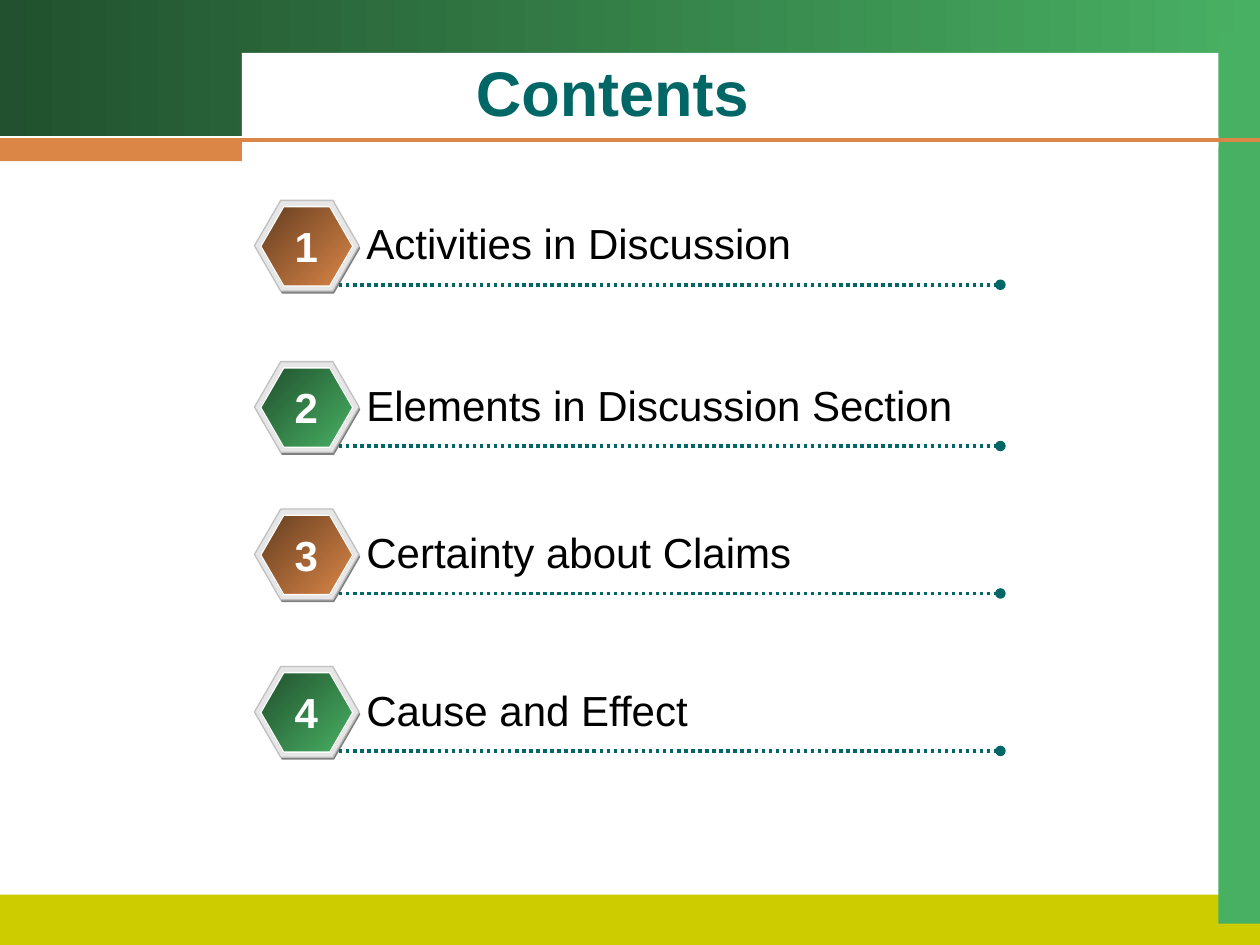
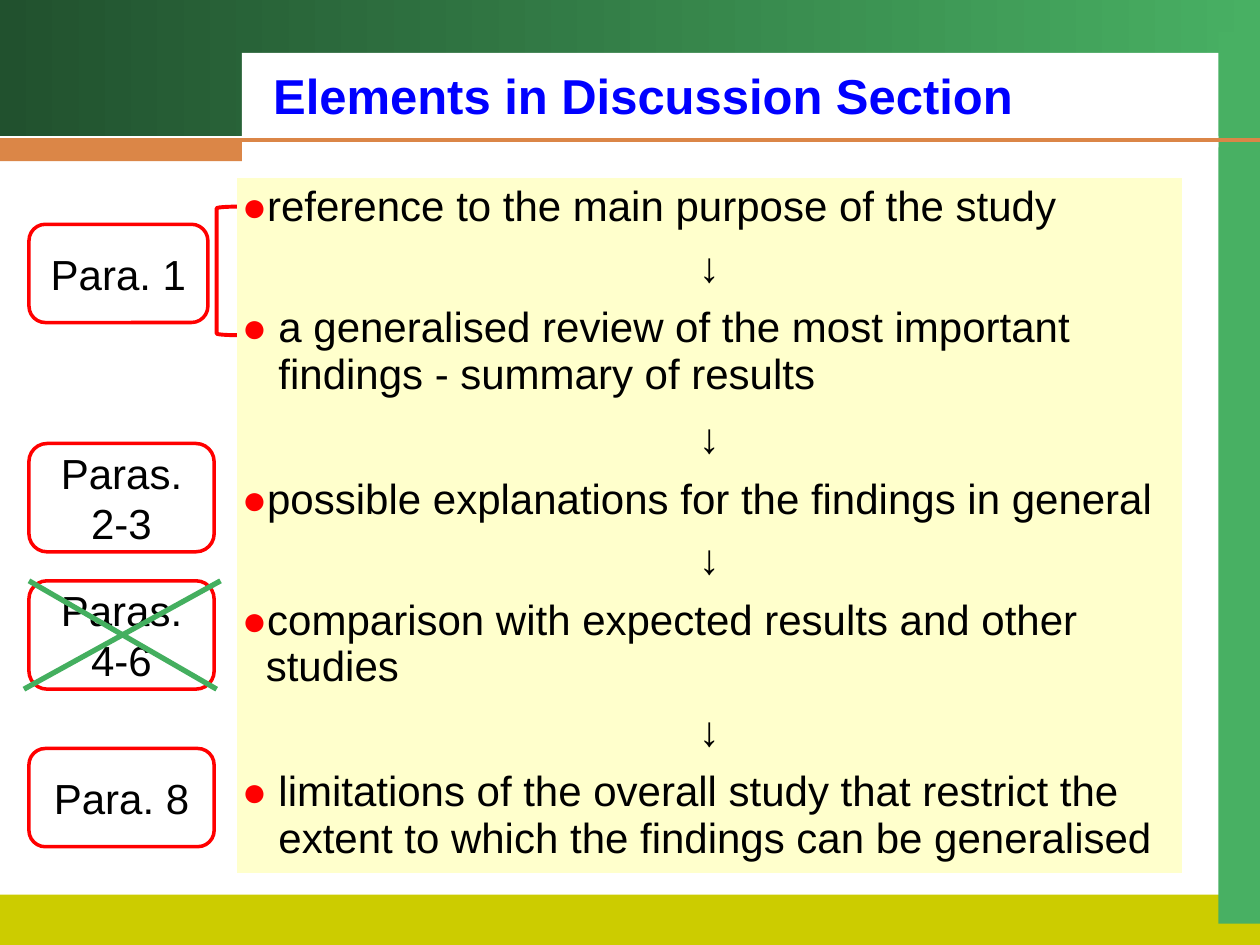
from dataclasses import dataclass

import pptx
import pptx.dml.color
import pptx.enum.dml
import pptx.enum.shapes
import pptx.enum.text
import pptx.oxml
import pptx.oxml.ns
import pptx.util

SHAPE = pptx.enum.shapes.MSO_SHAPE
ALIGN = pptx.enum.text.PP_ALIGN
ANCHOR = pptx.enum.text.MSO_ANCHOR

COLUMNS, ROWS = 10, 7.5  # grid of the slide
CELL = pptx.util.Inches(1)  # side of one grid square
PLAIN_TABLE_STYLE = "{2D5ABB26-0587-4C30-8999-92F81FD0307C}"


@dataclass(frozen=True)
class Theme:
    font: str = "Arial"
    title_size: float = 36
    heading_size: float = 28
    body_size: float = 24
    black: str = "000000"
    white: str = "FFFFFF"
    teal: str = "006666"
    blue: str = "0000FF"
    red: str = "FF0000"
    green: str = "48B063"
    cross_green: str = "44AF5F"
    orange: str = "DB8647"
    olive: str = "CCCC00"
    cream: str = "FFFFCC"
    rim: str = "E6E6E6"
    rim_line: str = "C0C0C0"
    rim_shade: str = "808080"
    green_fade: tuple = ("21512E", "48B063")
    orange_fade: tuple = ("653E21", "DB8647")


THEME = Theme()


@dataclass(frozen=True)
class Box:
    """A region in grid columns and rows."""
    left: float
    top: float
    width: float
    height: float

    def area(self, left, top, width, height):
        return Box(self.left + left, self.top + top, width, height)

    def lengths(self):
        return [grid(value) for value in (self.left, self.top, self.width, self.height)]


def grid(value):
    return round(value * CELL)


def rgb(color):
    return pptx.dml.color.RGBColor.from_string(color)


def xml_child(parent, tag, **attributes):
    child = parent.makeelement(pptx.oxml.ns.qn(tag), attributes)
    parent.append(child)
    return child


def add_figure(shapes, kind, box, fill=None, angle=0, line=None, width=0.75):
    """Add a preset shape; a pair of colours as fill gives a gradient."""
    shape = shapes.add_shape(kind, *box.lengths())
    shape.shadow.inherit = False
    if fill is None:
        shape.fill.background()
    elif isinstance(fill, tuple):
        shape.fill.gradient()
        shape.fill.gradient_angle = -angle % 360
        for stop, color in zip(shape.fill.gradient_stops, fill):
            stop.color.rgb = rgb(color)
    else:
        shape.fill.solid()
        shape.fill.fore_color.rgb = rgb(fill)
    if line:
        shape.line.color.rgb = rgb(line)
        shape.line.width = pptx.util.Pt(width)
    else:
        shape.line.fill.background()
    return shape


def add_line(shapes, start, end, color, width):
    connector = shapes.add_connector(
        pptx.enum.shapes.MSO_CONNECTOR.STRAIGHT, *map(grid, start + end))
    connector.line.color.rgb = rgb(color)
    connector.line.width = pptx.util.Pt(width)
    xml_child(connector._element.spPr, "a:effectLst")
    return connector


def write(text_frame, text, size=THEME.body_size, color=THEME.black,
          bold=False, align=ALIGN.LEFT):
    paragraph = text_frame.paragraphs[0]
    paragraph.alignment = align
    run = paragraph.add_run()
    run.text = text
    run.font.name = THEME.font
    run.font.size = pptx.util.Pt(size)
    run.font.bold = bold
    run.font.color.rgb = rgb(color)
    return paragraph


def add_text(shapes, box, text, anchor=ANCHOR.TOP, wrap=True, **style):
    text_frame = shapes.add_textbox(*box.lengths()).text_frame
    text_frame.word_wrap = wrap
    text_frame.vertical_anchor = anchor
    write(text_frame, text, **style)


def add_frame(slide, box):
    """Draw the bands that every slide shares."""
    shapes = slide.shapes
    rail, corner = 0.33, 1.92
    inner = box.width - rail
    add_figure(shapes, SHAPE.RECTANGLE, box.area(0, 0, box.width, 1.08), THEME.green_fade)
    add_figure(shapes, SHAPE.RECTANGLE,
               box.area(0, box.height - 0.4, box.width, 0.4), THEME.olive)
    add_figure(shapes, SHAPE.RECTANGLE, box.area(inner, 0.25, rail, 7.08), THEME.green)
    add_figure(shapes, SHAPE.RECTANGLE,
               box.area(corner, 0.42, inner - corner, 0.75), THEME.white)
    rule = box.top + 1.11
    add_line(shapes, (box.left, rule), (box.left + box.width, rule), THEME.orange, 2.25)
    add_figure(shapes, SHAPE.RECTANGLE, box.area(0, 1.11, corner, 0.17), THEME.orange)


def add_contents_entry(slide, box, number, text, fade):
    """Place a numbered hexagon, its text and the dotted rule below."""
    shapes = slide.shapes.add_group_shape().shapes
    add_figure(shapes, SHAPE.HEXAGON, box.area(0.01, 0.02, 0.83, 0.72), THEME.rim_shade)
    add_figure(shapes, SHAPE.HEXAGON, box.area(0, 0, 0.83, 0.72), THEME.rim,
               line=THEME.rim_line)
    add_figure(shapes, SHAPE.HEXAGON, box.area(0.05, 0.05, 0.73, 0.63), fade,
               angle=45, line=THEME.white)
    for hexagon in shapes:
        hexagon.adjustments[0] = 0.289
    rule = box.top + 0.67
    connector = add_line(shapes, (box.left + 0.67, rule), (box.left + box.width, rule),
                         THEME.teal, 2)
    connector.line.dash_style = pptx.enum.dml.MSO_LINE.ROUND_DOT
    xml_child(connector.line._get_or_add_ln(), "a:tailEnd", type="oval")
    add_text(shapes, box.area(0.79, 0.09, 5.2, 0.5), text)
    add_text(shapes, box.area(0.22, 0.11, 0.38, 0.5), str(number), wrap=False,
             color=THEME.white, bold=True, align=ALIGN.CENTER)


def build_contents(slide, box):
    add_frame(slide, box)
    add_text(slide.shapes, box.area(2.89, 0.39, 3.94, 0.67), "Contents", ANCHOR.MIDDLE,
             size=THEME.title_size, color=THEME.teal, bold=True, align=ALIGN.CENTER)
    entries = [
        (1.59, "Activities in Discussion"),
        (2.87, "Elements in Discussion Section"),
        (4.04, "Certainty about Claims"),
        (5.29, "Cause and Effect"),
    ]
    for number, (top, text) in enumerate(entries, 1):
        fade = THEME.orange_fade if number % 2 else THEME.green_fade
        add_contents_entry(slide, box.area(2.02, top, 5.92, 0.74), number, text, fade)


def add_bullet(paragraph, indent):
    properties = paragraph._p.get_or_add_pPr()
    properties.set("marL", str(grid(indent)))
    properties.set("indent", str(-grid(indent)))
    color = xml_child(properties, "a:buClr")
    xml_child(color, "a:srgbClr", val=THEME.red)
    xml_child(properties, "a:buFont", typeface=THEME.font)
    xml_child(properties, "a:buChar", char="●")


def add_element_table(slide, box):
    """List the elements in a one-column table with arrows between them."""
    short, tall = 0.48, 0.88
    elements = [
        ("reference to the main purpose of the study", 0, short),
        ("a generalised review of the most important findings - summary of results",
         0.29, tall),
        ("possible explanations for the findings in general", 0, short),
        ("comparison with expected results and other studies", 0.19, tall),
        ("limitations of the overall study that restrict the extent to which "
         "the findings can be generalised", 0.29, tall),
    ]
    rows = [elements[0]]
    for element in elements[1:]:
        rows += [("↓", None, short), element]

    table = slide.shapes.add_table(len(rows), 1, *box.lengths()).table
    table.first_row = table.horz_banding = False
    table._tbl.tblPr.find(pptx.oxml.ns.qn("a:tableStyleId")).text = PLAIN_TABLE_STYLE
    for index, (text, indent, height) in enumerate(rows):
        table.rows[index].height = grid(height)
        cell = table.cell(index, 0)
        cell.fill.solid()
        cell.fill.fore_color.rgb = rgb(THEME.cream)
        cell.margin_left = cell.margin_right = grid(0.04)
        cell.margin_top = cell.margin_bottom = grid(0.05)
        if indent is None:
            write(cell.text_frame, text, bold=True, align=ALIGN.CENTER)
        else:
            add_bullet(write(cell.text_frame, text), indent)


def add_paragraph_labels(slide, box):
    """Stack the labels beside the table and cross one of them out."""
    shapes = slide.shapes
    labels = [
        ("Para. 1", 0, 1.42, 0.78),
        ("Paras. 2-3", 1.74, 1.47, 0.86),
        ("Para. 8", 4.16, 1.47, 0.78),
        ("Paras. 4-6", 2.83, 1.47, 0.86),
    ]
    for text, top, width, height in labels:
        label = add_figure(shapes, SHAPE.ROUNDED_RECTANGLE,
                           box.area(0, top, width, height), line=THEME.red, width=2)
        label.text_frame.word_wrap = True
        label.text_frame.vertical_anchor = ANCHOR.MIDDLE
        write(label.text_frame, text, align=ALIGN.CENTER)
    add_figure(shapes, SHAPE.LEFT_BRACKET, box.area(1.49, -0.14, 0.16, 1.02),
               line=THEME.red, width=2.25)
    upper, lower = box.top + 2.83, box.top + 3.69
    cross = shapes.add_group_shape().shapes
    for bottom_end, top_end in ((-0.04, 1.52), (1.49, 0)):
        add_line(cross, (box.left + bottom_end, lower), (box.left + top_end, upper),
                 THEME.cross_green, 3)


def build_elements(slide, box):
    add_frame(slide, box)
    add_element_table(slide, box.area(1.88, 1.41, 7.5, 5.52))
    add_text(slide.shapes, box.area(2.07, 0.47, 7, 0.57), "Elements in Discussion Section",
             size=THEME.heading_size, color=THEME.blue, bold=True)
    add_paragraph_labels(slide, box.area(0.23, 1.78, 1.47, 4.94))


def main():
    presentation = pptx.Presentation()
    presentation.slide_width = grid(COLUMNS)
    presentation.slide_height = grid(ROWS)
    blank_layout = presentation.slide_layouts[6]
    for build in (build_contents, build_elements):
        build(presentation.slides.add_slide(blank_layout), Box(0, 0, COLUMNS, ROWS))
    presentation.save("out.pptx")


if __name__ == "__main__":
    main()
